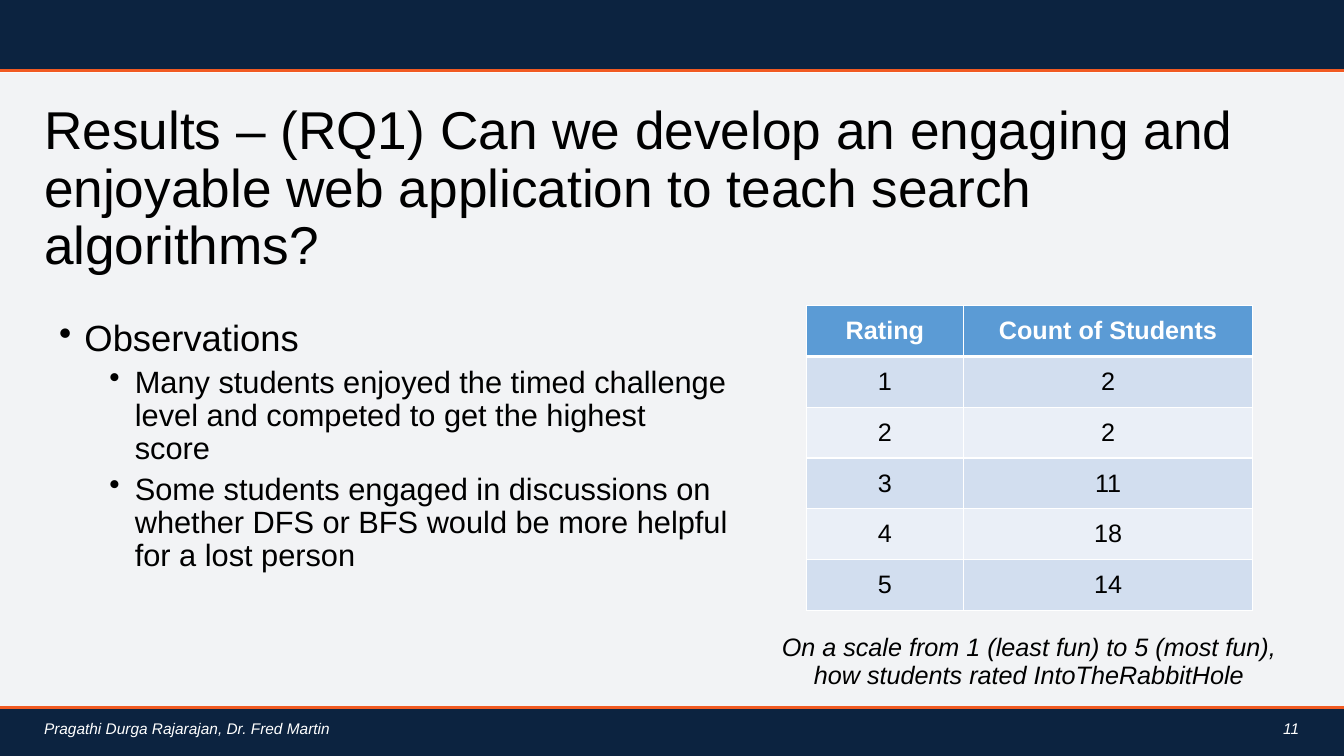
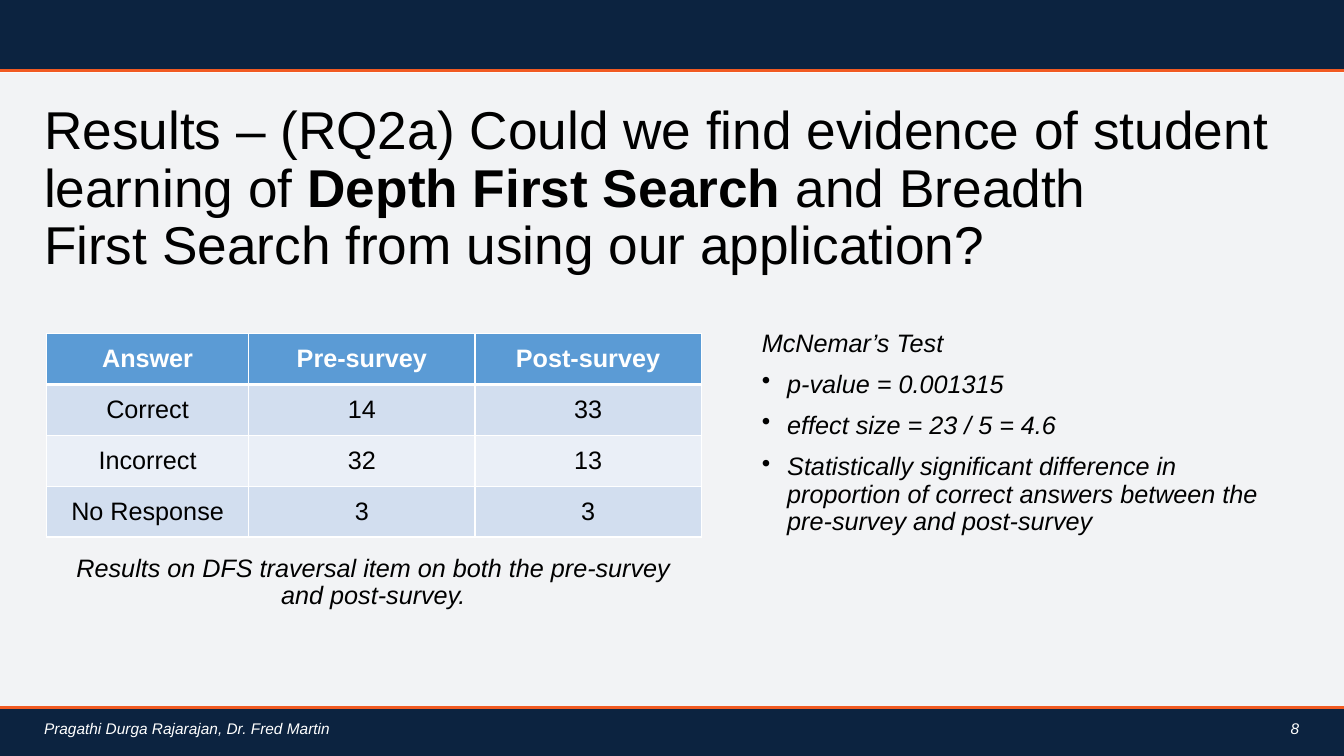
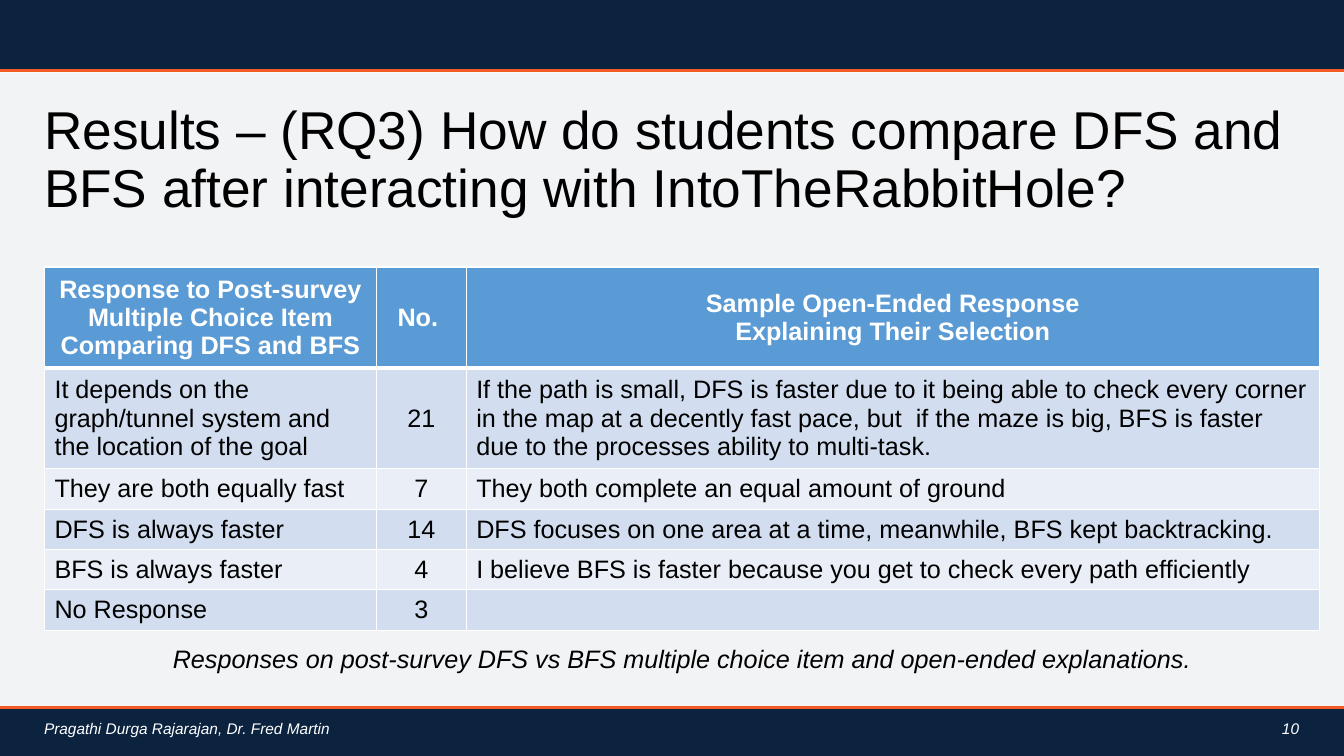
import pptx
import pptx.dml.color
import pptx.enum.shapes
import pptx.enum.text
import pptx.oxml.ns
import pptx.util
from lxml import etree

Cm = pptx.util.Cm
Pt = pptx.util.Pt
RGB = pptx.dml.color.RGBColor
Align = pptx.enum.text.PP_ALIGN
Shape = pptx.enum.shapes.MSO_SHAPE
tag = pptx.oxml.ns.qn

NAVY = RGB(0x0C, 0x23, 0x40)
ORANGE = RGB(0xF1, 0x5A, 0x22)
BLUE = RGB(0x5B, 0x9B, 0xD5)
DARK = RGB(0xD2, 0xDE, 0xEF)
LIGHT = RGB(0xEA, 0xEF, 0xF7)
WHITE = RGB(0xFF, 0xFF, 0xFF)
BLACK = RGB(0, 0, 0)

FONT = "Arial"
WIDE, HIGH = 33.87, 19.05
LEFT, SPAN = 0.86, 32.13
TOP, BASE = 1.78, 17.83
AUTHORS = "Pragathi Durga Rajarajan, Dr. Fred Martin"


class Deck:
    """Holds the shared style and the slide being filled."""

    def __init__(self):
        self.file = pptx.Presentation()
        self.file.slide_width = Cm(WIDE)
        self.file.slide_height = Cm(HIGH)
        self.slide = None

    def page(self, title, number):
        """Start a slide with its bands, title and footer."""
        self.slide = self.file.slides.add_slide(self.file.slide_layouts[6])
        self.band(1.83, 15.98, 5)
        self.band(17.86, HIGH - 17.86)
        self.band(0, 1.75)
        for y in (TOP, BASE):
            self.rule(y)
        self.text((LEFT, 2.49, SPAN, 3.68), [title], 38)
        foot = (LEFT, 18.06, SPAN, 1.04)
        self.text(foot, [AUTHORS], 11, WHITE, True)
        self.text(foot, [str(number)], 11, WHITE, True, Align.RIGHT)

    def band(self, y, height, alpha=100):
        band = self.slide.shapes.add_shape(
            Shape.RECTANGLE, Cm(0), Cm(y), Cm(WIDE), Cm(height))
        band.shadow.inherit = False
        band.line.fill.background()
        band.fill.solid()
        band.fill.fore_color.rgb = NAVY
        if alpha < 100:
            color = band._element.spPr.find(".//" + tag("a:srgbClr"))
            etree.SubElement(color, tag("a:alpha"), val=str(alpha * 1000))

    def rule(self, y):
        rule = self.slide.shapes.add_connector(
            pptx.enum.shapes.MSO_CONNECTOR.STRAIGHT,
            Cm(0), Cm(y), Cm(WIDE), Cm(y))
        rule.line.color.rgb = ORANGE
        rule.line.width = Pt(2)
        etree.SubElement(rule._element.spPr, tag("a:effectLst"))

    def runs(self, para, text, size, color, bold=False, slant=False):
        """Fill a paragraph; ** toggles bold and a newline breaks the line."""
        for row, line in enumerate(text.split("\n")):
            if row:
                para.add_line_break()
            for turn, part in enumerate(line.split("**")):
                run = para.add_run()
                run.text = part
                font = run.font
                font.name, font.size = FONT, Pt(size)
                font.bold = bold or turn % 2 == 1
                font.italic = slant
                font.color.rgb = color

    def bullet(self, para, level):
        para.level = level - 1
        props = para._p.get_or_add_pPr()
        props.set("marL", str(Cm(1.27 * level - 0.63)))
        props.set("indent", str(-Cm(0.64)))
        etree.SubElement(props, tag("a:buChar"), char="•")

    def text(self, area, items, size, color=BLACK, slant=False,
             align=Align.LEFT):
        """Add a box; an item is a string or (text, level, size, gap)."""
        box = self.slide.shapes.add_textbox(*map(Cm, area))
        frame = box.text_frame
        frame.word_wrap = True
        for index, item in enumerate(items):
            if isinstance(item, str):
                item = (item, 0, size, 10)
            words, level, points, gap = item
            para = frame.add_paragraph() if index else frame.paragraphs[0]
            para.alignment = align
            para.line_spacing = 0.9
            para.space_before = Pt(gap if index else 0)
            if level:
                self.bullet(para, level)
            self.runs(para, words, points, color, slant=slant)

    def note(self, x, y, width, words):
        self.text((x, y, width, 1.04), [words], 18, BLACK, True, Align.CENTER)

    def edge(self, cell, head):
        """Draw white borders, thicker below the header row."""
        props = cell._tc.get_or_add_tcPr()
        for side in "LRTB":
            width = Pt(3 if head and side == "B" else 1)
            if side == "T" and not head:
                continue
            line = etree.SubElement(props, tag("a:ln" + side), w=str(width))
            fill = etree.SubElement(line, tag("a:solidFill"))
            etree.SubElement(fill, tag("a:srgbClr"), val=str(WHITE))

    def table(self, x, y, widths, heights, rows, prose=()):
        """Add a banded table; columns listed in prose are left-aligned."""
        grid = self.slide.shapes.add_table(
            len(rows), len(widths), Cm(x), Cm(y),
            Cm(sum(widths)), Cm(sum(heights))).table
        for column, width in zip(grid.columns, widths):
            column.width = Cm(width)
        for r, (row, height) in enumerate(zip(rows, heights)):
            head = r == 0
            grid.rows[r].height = Cm(height)
            for c, words in enumerate(row):
                cell = grid.cell(r, c)
                self.edge(cell, head)
                cell.fill.solid()
                cell.fill.fore_color.rgb = (
                    BLUE if head else DARK if r % 2 else LIGHT)
                cell.vertical_anchor = pptx.enum.text.MSO_ANCHOR.MIDDLE
                para = cell.text_frame.paragraphs[0]
                flush = c in prose and not head
                para.alignment = Align.LEFT if flush else Align.CENTER
                self.runs(para, words, 18, WHITE if head else BLACK, head)


def fun(deck):
    deck.page("Results – (RQ1) Can we develop an engaging and enjoyable web "
              "application to teach search algorithms?", 11)
    deck.text((1.24, 7.95, 17.37, 10.46), [
        ("Observations", 1, 26, 0),
        ("Many students enjoyed the timed challenge level and competed to "
         "get the highest score", 2, 22, 5),
        ("Some students engaged in discussions on whether DFS or BFS would "
         "be more helpful for a lost person", 2, 22, 5),
    ], 26)
    deck.table(20.32, 7.7, (3.96, 7.29), [1.28] * 6, [
        ("Rating", "Count of Students"),
        ("1", "2"),
        ("2", "2"),
        ("3", "11"),
        ("4", "18"),
        ("5", "14"),
    ])
    deck.note(19.43, 15.88, 13, "On a scale from 1 (least fun) to 5 (most "
              "fun), how students rated IntoTheRabbitHole")


def proof(deck):
    deck.page("Results – (RQ2a) Could we find evidence of student\n"
              "learning of **Depth First Search **and Breadth\n"
              "First Search from using our application?", 8)
    deck.table(1.17, 8.41, (5.1, 5.7, 5.7), [1.28] * 4, [
        ("Answer", "Pre-survey", "Post-survey"),
        ("Correct", "14", "33"),
        ("Incorrect", "32", "13"),
        ("No Response", "3", "3"),
    ])
    deck.note(1.17, 13.87, 16.48, "Results on DFS traversal item on both the "
              "pre-survey and post-survey.")
    facts = ("p-value = 0.001315", "effect size = 23 / 5 = 4.6",
             "Statistically significant difference in proportion of correct "
             "answers between the pre-survey and post-survey")
    deck.text((18.95, 8.2, 13.16, 9.55),
              ["McNemar’s Test"] + [(fact, 1, 18, 10) for fact in facts],
              18, slant=True)


def views(deck):
    deck.page("Results – (RQ3) How do students compare DFS and BFS after "
              "interacting with IntoTheRabbitHole?", 10)
    deck.table(1.12, 6.73, (8.37, 2.26, 21.5), [2.39] * 2 + [0.97] * 4, [
        ("Response to Post-survey Multiple Choice Item Comparing DFS and BFS",
         "No. ", "Sample Open-Ended Response\nExplaining Their Selection"),
        ("It depends on the graph/tunnel system and the location of the goal",
         "21", "If the path is small, DFS is faster due to it being able to "
         "check every corner in the map at a decently fast pace, but  if the "
         "maze is big, BFS is faster due to the processes ability to "
         "multi-task."),
        ("They are both equally fast", "7",
         "They both complete an equal amount of ground"),
        ("DFS is always faster", "14", "DFS focuses on one area at a time, "
         "meanwhile, BFS kept backtracking."),
        ("BFS is always faster", "4", "I believe BFS is faster because you "
         "get to check every path efficiently"),
        ("No Response", "3", ""),
    ], prose=(0, 2))
    deck.note(1.12, 16.18, SPAN, "Responses on post-survey DFS vs BFS "
              "multiple choice item and open-ended explanations.")


def main():
    deck = Deck()
    for build in (fun, proof, views):
        build(deck)
    deck.file.save("out.pptx")


if __name__ == "__main__":
    main()
